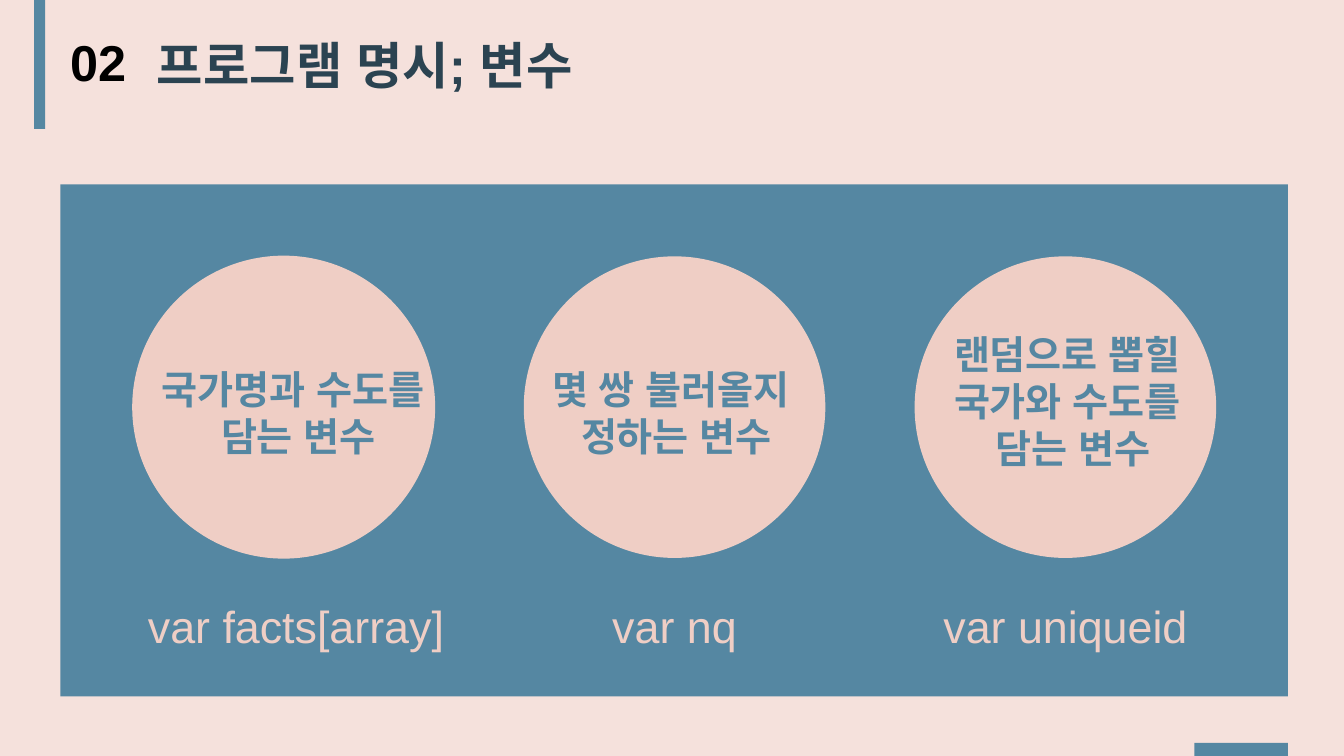
from lxml.etree import SubElement
from pptx import Presentation
from pptx.dml.color import RGBColor
from pptx.enum.lang import MSO_LANGUAGE_ID
from pptx.enum.shapes import MSO_SHAPE
from pptx.enum.text import MSO_AUTO_SIZE, PP_ALIGN
from pptx.oxml.ns import qn
from pptx.util import Cm, Pt

BLUE, PINK, NAVY, BLACK = "5587A2", "EFCEC5", "2B4351", "000000"

# Label, its left and width; note lines, their left, top, width and height
VARS = [
    ("var facts[array]", 3.45, 8.03,
     ["국가명과 수도를 ", "담는 변수"], (3.56, 9.07, 7.92, 2.64)),
    ("var nq", 15.16, 3.68,
     ["몇 쌍 불러올지 ", "정하는 변수"], (13.44, 9.07, 7.21, 2.64)),
    ("var uniqueid", 23.5, 6.71,
     ["랜덤으로 뽑힐 ", "국가와 수도를 ", "담는 변수"], (23.57, 8.2, 6.93, 3.84)),
]


def paint(color, code):
    color.rgb = RGBColor.from_string(code)


def add_form(slide, kind, box, code, alpha=None):
    """Add a filled preset shape without an outline."""
    form = slide.shapes.add_shape(kind, *map(Cm, box))
    form.shadow.inherit = False
    form.fill.solid()
    paint(form.fill.fore_color, code)
    form.line.fill.background()
    if alpha:
        tint = form.fill._xPr.find(".//" + qn("a:srgbClr"))
        SubElement(tint, qn("a:alpha"), val=str(alpha * 1000))
    return form


def add_text(slide, lines, box, size, code, bold=False, align=PP_ALIGN.CENTER):
    """Add a text box with one paragraph per line."""
    frame = slide.shapes.add_textbox(*map(Cm, box)).text_frame
    frame.text = "\n".join(lines)
    frame.word_wrap = False
    frame.auto_size = MSO_AUTO_SIZE.SHAPE_TO_FIT_TEXT
    style = {"size": Pt(size), "name": "Arial", "bold": bold,
             "language_id": MSO_LANGUAGE_ID.KOREAN}
    for para in frame.paragraphs:
        para.alignment = align
        for run in para.runs:
            for key, value in style.items():
                setattr(run.font, key, value)
            paint(run.font.color, code)
            # Typeface for Hangul
            SubElement(run.font._element, qn("a:ea"), typeface="Arial")


def add_head(slide):
    add_form(slide, MSO_SHAPE.RECTANGLE, (0.86, 0, 0.28, 3.25), BLUE)
    add_form(slide, MSO_SHAPE.RECTANGLE, (30.1, 18.72, 2.36, 0.33), BLUE)
    add_text(slide, ["02"], (1.52, 0.66, 1.93, 1.8), 36, BLACK, True, PP_ALIGN.LEFT)
    add_text(slide, ["프로그램 명시; 변수"], (3.33, 0.74, 11.73, 1.8), 36, NAVY, True)


def add_vars(slide):
    add_form(slide, MSO_SHAPE.RECTANGLE, (1.52, 4.65, 30.94, 12.9), BLUE)
    for i, (label, left, width, note, box) in enumerate(VARS):
        disc = add_form(slide, MSO_SHAPE.OVAL, (3.35 + 9.85 * i, 6.46, 7.6, 7.6), PINK)
        if i == 0:
            paint(disc.line.color, PINK)
            disc.line.width = Pt(1)
        add_text(slide, [label], (left, 14.96, width, 1.63), 32, PINK)
        add_text(slide, note, box, 28, BLUE, True)


def main():
    deck = Presentation()
    deck.slide_width, deck.slide_height = Cm(33.87), Cm(19.05)
    slide = deck.slides.add_slide(deck.slide_layouts[6])
    # Pale wash over the white background
    add_form(slide, MSO_SHAPE.RECTANGLE, (0, -0.02, 33.9, 19.07), PINK, 60)
    add_head(slide)
    add_vars(slide)
    deck.save("out.pptx")


if __name__ == "__main__":
    main()
